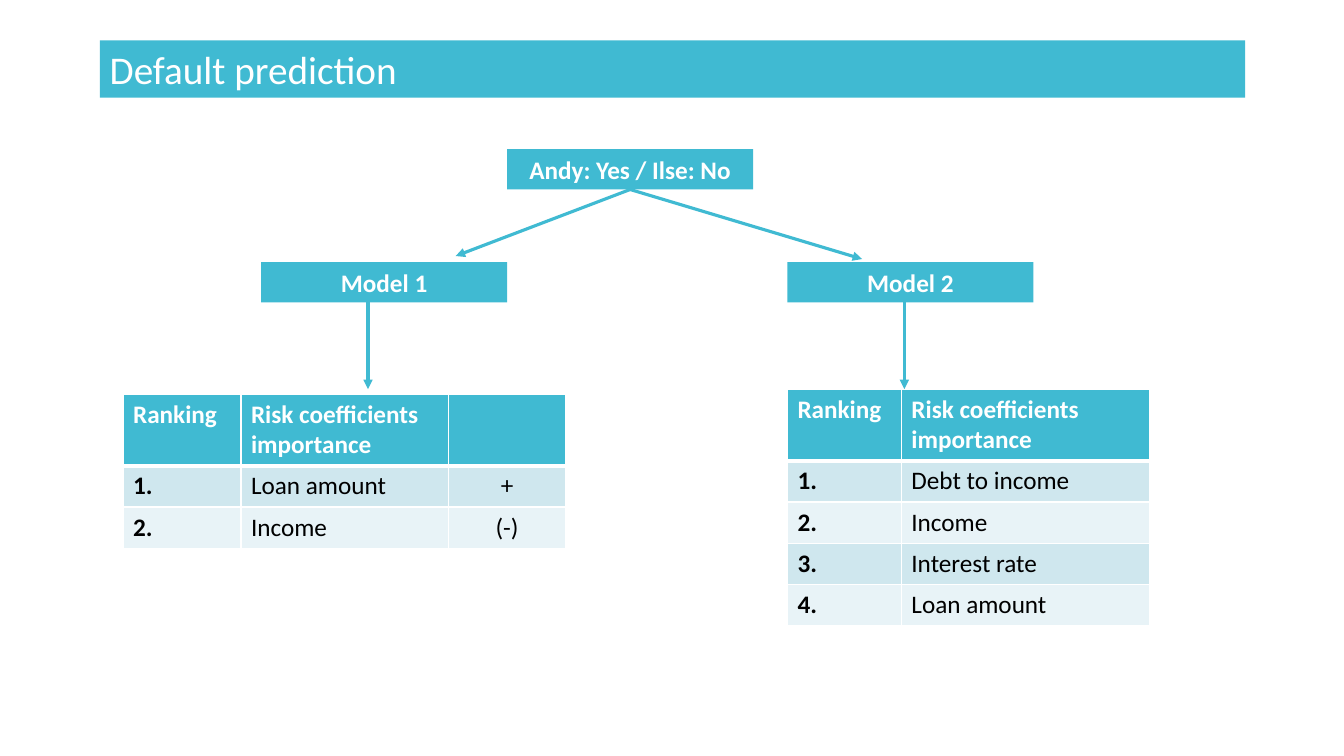
import pptx
import pptx.dml.color
import pptx.enum.shapes
import pptx.enum.text
import pptx.oxml
import pptx.oxml.ns
import pptx.util
from lxml import etree

Inches = pptx.util.Inches
Pt = pptx.util.Pt
Color = pptx.dml.color.RGBColor
Align = pptx.enum.text.PP_ALIGN

TEAL = Color(0x40, 0xBA, 0xD2)
WHITE = Color(0xFF, 0xFF, 0xFF)
BLACK = Color(0, 0, 0)
BANDS = [Color(0xCF, 0xE7, 0xEE), Color(0xE8, 0xF3, 0xF7)]

HEAD, ROW = 0.7, 0.41  # table row heights
WIDE, HIGH = 2.44, 0.4  # node size


def tag(parent, name, **attrs):
    return etree.SubElement(parent, pptx.oxml.ns.qn("a:" + name), attrs)


def write(frame, text, align=Align.LEFT, **style):
    """Put one styled paragraph into a text frame."""
    para = frame.paragraphs[0]
    para.alignment = align
    run = para.add_run()
    run.text = text
    look = {"name": "Calibri", "size": Pt(18), "bold": False} | style
    run.font.color.rgb = look.pop("color")
    for key, value in look.items():
        setattr(run.font, key, value)


def bar(slide, box, text, **style):
    """Filled rectangle with white text."""
    shape = slide.shapes.add_shape(
        pptx.enum.shapes.MSO_SHAPE.RECTANGLE, *map(Inches, box))
    shape.shadow.inherit = False
    shape.fill.solid()
    shape.fill.fore_color.rgb = TEAL
    shape.line.fill.background()
    frame = shape.text_frame
    frame.word_wrap = True
    frame.vertical_anchor = pptx.enum.text.MSO_ANCHOR.TOP
    write(frame, text, color=WHITE, **style)


def node(slide, left, top, text):
    bar(slide, (left, top, WIDE, HIGH), text, align=Align.CENTER, bold=True)


def arrow(slide, start, end):
    line = slide.shapes.add_connector(
        pptx.enum.shapes.MSO_CONNECTOR.STRAIGHT, *map(Inches, start + end))
    line.line.color.rgb = TEAL
    line.line.width = Pt(2.25)
    tag(line.line._get_or_add_ln(), "tailEnd", type="triangle")
    tag(line._element.spPr, "effectLst")


def border(cell, head):
    """White rules, with a thick one under the header."""
    props = cell._tc.get_or_add_tcPr()
    for side in "LRTB":
        width = Pt(3 if head and side == "B" else 1)
        rule = tag(props, "ln" + side, w=str(width))
        tag(tag(rule, "solidFill"), "srgbClr", val=str(WHITE))


def ranks(slide, left, top, widths, rows):
    """Ranking table: teal header, then banded rows numbered from 1."""
    titles = ["Ranking", "Risk coefficients importance", ""]
    data = [titles[:len(widths)]]
    data += [[f"{i}.", *row] for i, row in enumerate(rows, 1)]
    high = HEAD + ROW * len(rows)
    grid = slide.shapes.add_table(
        len(data), len(widths),
        *map(Inches, (left, top, sum(widths), high))).table
    for col, width in zip(grid.columns, widths):
        col.width = Inches(width)
    for r, texts in enumerate(data):
        head = r == 0
        grid.rows[r].height = Inches(HEAD if head else ROW)
        for c, text in enumerate(texts):
            cell = grid.cell(r, c)
            border(cell, head)
            cell.fill.solid()
            cell.fill.fore_color.rgb = TEAL if head else BANDS[(r - 1) % 2]
            if text:
                write(cell.text_frame, text,
                      align=Align.CENTER if c == 2 else Align.LEFT,
                      bold=head or c == 0, color=WHITE if head else BLACK)


def tree(slide, left, top):
    """Root node, two model nodes, their arrows and tables."""
    root, low = left + 3.81, top + 1.12
    first, second = left + 1.37, left + 6.59
    fork = (root + WIDE / 2, top + HIGH)

    # Nodes
    node(slide, root, top, "Andy: Yes / Ilse: No")
    node(slide, first, low, "Model 1")
    node(slide, second, low, "Model 2")

    # Tables
    ranks(slide, left, top + 2.43, [1.17, 2.06, 1.16],
          [["Loan amount", "+"], ["Income", "(-)"]])
    ranks(slide, second, top + 2.38, [1.13, 2.46],
          [["Debt to income"], ["Income"], ["Interest rate"],
           ["Loan amount"]])

    # Arrows
    arrow(slide, fork, (left + 7.33, top + 1.09))
    arrow(slide, fork, (left + 3.3, top + 1.06))
    for x in (left + 2.43, left + 7.75):
        arrow(slide, (x, low + HIGH), (x, top + 2.38))


def main():
    deck = pptx.Presentation()
    deck.slide_width, deck.slide_height = Inches(13.33), Inches(7.5)
    slide = deck.slides.add_slide(deck.slide_layouts[6])
    bar(slide, (0.99, 0.4, 11.36, 0.57), "Default prediction", size=Pt(28))
    tree(slide, 1.22, 1.48)
    deck.save("out.pptx")


if __name__ == "__main__":
    main()
